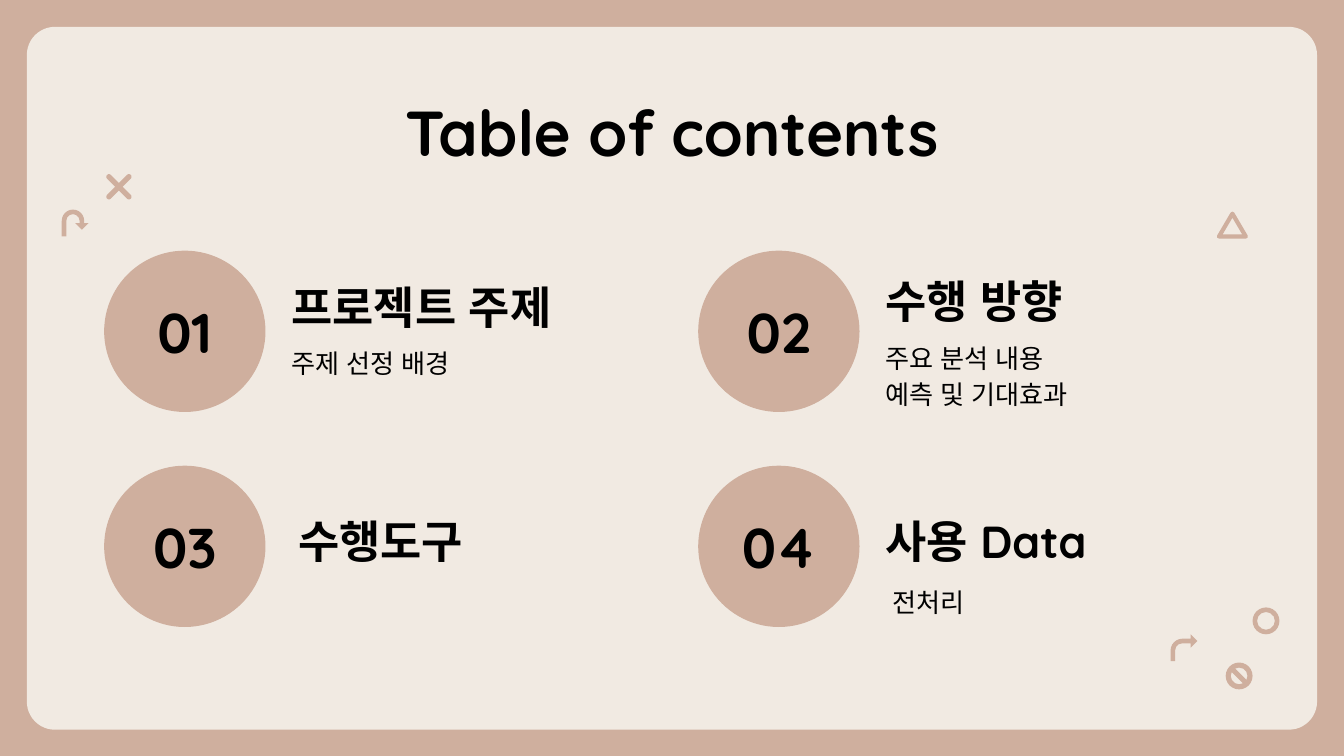
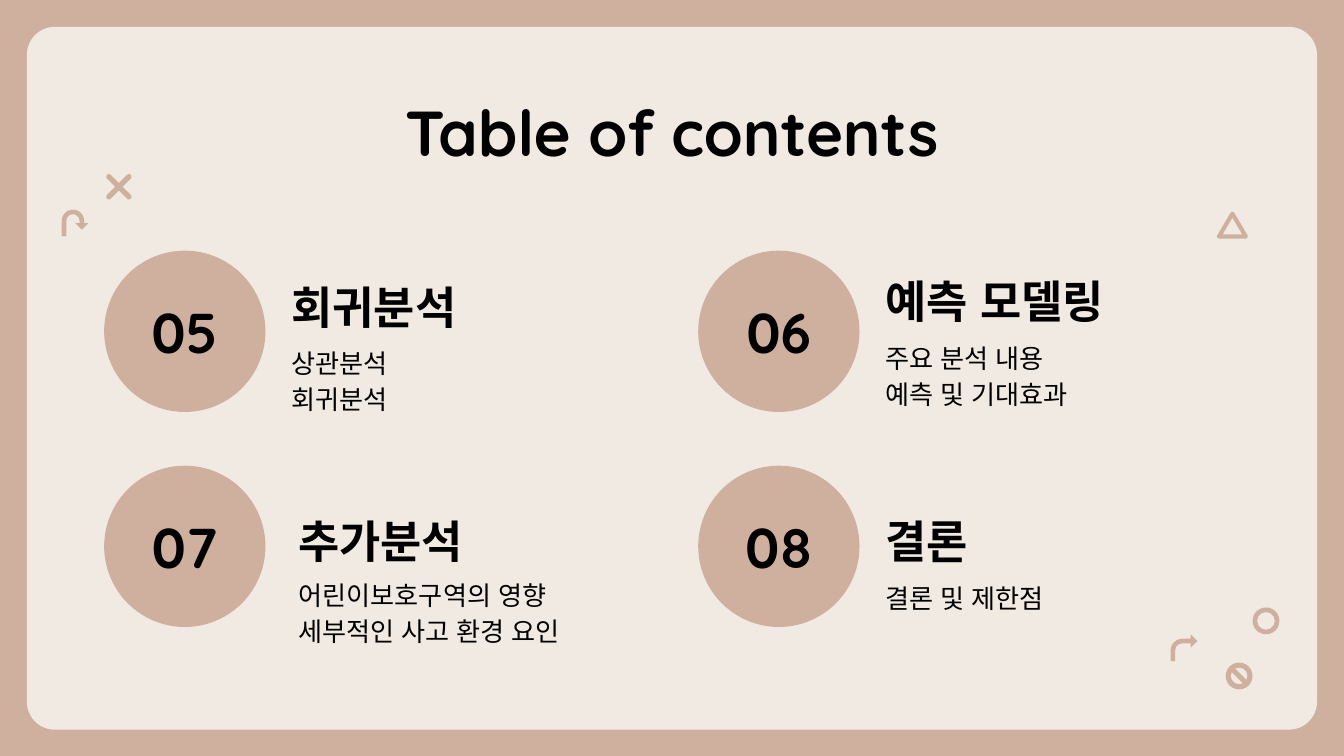
from lxml import etree
from pptx import Presentation
from pptx.dml.color import RGBColor
from pptx.enum.shapes import MSO_SHAPE as SHAPE
from pptx.enum.text import MSO_ANCHOR as ANCHOR, PP_ALIGN as ALIGN
from pptx.oxml.ns import qn
from pptx.util import Inches, Pt

CLAY = RGBColor(0xCF, 0xAF, 0x9E)
CREAM = RGBColor(0xF1, 0xEA, 0xE2)
BLACK = RGBColor(0, 0, 0)
HEAD_FONT, BODY_FONT = "Quicksand", "Lato"

# All lengths are hundredths of the slide's width.
SLIDE_W, SLIDE_H = Inches(10), Inches(5.625)
UNIT = SLIDE_W / 100
GRID_LEFT, GRID_TOP = 7.8, 18.7
COL_STEP, ROW_STEP = 44.2, 16
DISC, NUMBER_BOX = 11.9, 8.1
TEXT_W = 27.3
# Shift of the heading from its disc's corner, cell by cell.
HEADING_SHIFTS = [(12.9, 2.1), (12.9, 1.7), (13.4, 3.5), (12.9, 3.5)]

# Ornaments: preset, box, rotation, adjustments.
LEFT_MARKS = [
    (SHAPE.ROUNDED_RECTANGLE, (7.6, 13.7, 2.5, 0.4), 45, [0.5]),
    (SHAPE.ROUNDED_RECTANGLE, (7.6, 13.7, 2.5, 0.4), 315, [0.5]),
    (SHAPE.U_TURN_ARROW, (4.6, 15.6, 2, 2), 0, [0.17, 0.25, 0.25, 0.44, 0.75]),
]
RIGHT_MARKS = [
    (SHAPE.DONUT, (93.2, 45.2, 2, 2), 0, [0.17]),
    (SHAPE.BENT_ARROW, (87.1, 47.2, 2, 2), 0, [0.17, 0.25, 0.25, 0.44]),
    (SHAPE.NO_SYMBOL, (91.2, 49.3, 2, 2), 0, [0.19]),
]

# Entries: heading, detail lines, shift of the detail from the heading, line spacing.
CONTENTS = [
    [
        ("프로젝트 주제", ["주제 선정 배경"], (0, 3.7), 1.15),
        ("수행 방향", ["주요 분석 내용", "예측 및 기대효과"], (0, 3.7), 1.15),
        ("수행도구", [], (0, 0), 1.15),
        ("사용 Data", ["전처리"], (0.5, 4.1), 1.15),
    ],
    [
        ("회귀분석", ["상관분석", "회귀분석"], (0, 3.7), 1.15),
        ("예측 모델링", ["주요 분석 내용", "예측 및 기대효과"], (0, 3.7), 1.15),
        ("추가분석", ["어린이보호구역의 영향", "세부적인 사고 환경 요인"], (0, 3.6), 1.15),
        ("결론", ["결론 및 제한점"], (0, 4.1), 1),
    ],
]


def scale(box):
    return [round(v * UNIT) for v in box]


def add_shape(shapes, preset, box, fill=None, line=None, width=0.75, rotation=0, adj=()):
    sp = shapes.add_shape(preset, *scale(box))
    sp.shadow.inherit = False
    sp.rotation = rotation
    for i, value in enumerate(adj):
        sp.adjustments[i] = value
    for part, colour in ((sp.fill, fill), (sp.line.fill, line)):
        if colour is None:
            part.background()
        else:
            part.solid()
            part.fore_color.rgb = colour
    if line is not None:
        sp.line.width = Pt(width)
    return sp


def add_text(slide, box, lines, size, font=HEAD_FONT, bold=True,
             align=ALIGN.LEFT, anchor=ANCHOR.TOP, spacing=1):
    tf = slide.shapes.add_textbox(*scale(box)).text_frame
    tf.word_wrap = True
    tf.vertical_anchor = anchor
    tf.margin_left = tf.margin_right = tf.margin_top = tf.margin_bottom = Inches(0.1)
    tf.text = "\n".join(lines)
    for p in tf.paragraphs:
        p.alignment, p.line_spacing = align, spacing
        for r in p.runs:
            f = r.font
            f.name, f.size, f.bold = font, Pt(size), bold
            f.color.rgb = BLACK
            rpr = r._r.get_or_add_rPr()
            etree.SubElement(rpr, qn("a:ea")).set("typeface", font)


def add_marks(slide):
    for marks in (LEFT_MARKS, RIGHT_MARKS):
        group = slide.shapes.add_group_shape()
        for preset, box, rotation, adj in marks:
            add_shape(group.shapes, preset, box, CLAY, rotation=rotation, adj=adj)
    triangle = add_shape(slide.shapes, SHAPE.ISOSCELES_TRIANGLE, (90.7, 15.9, 2, 1.7),
                         line=CLAY, width=2.25)
    etree.SubElement(triangle.line._get_or_add_ln(), qn("a:round"))


def add_base(prs, title):
    """Add a slide with the background, panel, ornaments and title."""
    slide = prs.slides.add_slide(prs.slide_layouts[6])
    slide.background.fill.solid()
    slide.background.fill.fore_color.rgb = CLAY
    add_shape(slide.shapes, SHAPE.ROUNDED_RECTANGLE, (2, 2, 96, 52.3), CREAM, adj=[0.04])
    add_marks(slide)
    add_text(slide, (GRID_LEFT, 5.9, 84.4, 7), [title], 34, align=ALIGN.CENTER)
    return slide


def add_entry(slide, cell, number, entry):
    """Fill one grid cell: numbered disc, heading and detail lines."""
    heading, details, (detail_dx, detail_dy), spacing = entry
    row, col = divmod(cell, 2)
    x, y = GRID_LEFT + col * COL_STEP, GRID_TOP + row * ROW_STEP
    inset = (DISC - NUMBER_BOX) / 2
    add_shape(slide.shapes, SHAPE.OVAL, (x, y, DISC, DISC), CLAY, CLAY)
    add_text(slide, (x + inset, y + inset, NUMBER_BOX, NUMBER_BOX), [f"{number:02}"], 30,
             align=ALIGN.CENTER, anchor=ANCHOR.MIDDLE)
    dx, dy = HEADING_SHIFTS[cell]
    x, y = x + dx, y + dy
    add_text(slide, (x, y, TEXT_W, 5), [heading], 24, anchor=ANCHOR.BOTTOM, spacing=1.15)
    if details:
        add_text(slide, (x + detail_dx, y + detail_dy, TEXT_W, 7), details, 14,
                 BODY_FONT, False, spacing=spacing)


def main():
    prs = Presentation()
    prs.slide_width, prs.slide_height = SLIDE_W, SLIDE_H
    number = 0
    for entries in CONTENTS:
        slide = add_base(prs, "Table of contents")
        for cell, entry in enumerate(entries):
            number += 1
            add_entry(slide, cell, number, entry)
    prs.save("out.pptx")


if __name__ == "__main__":
    main()
